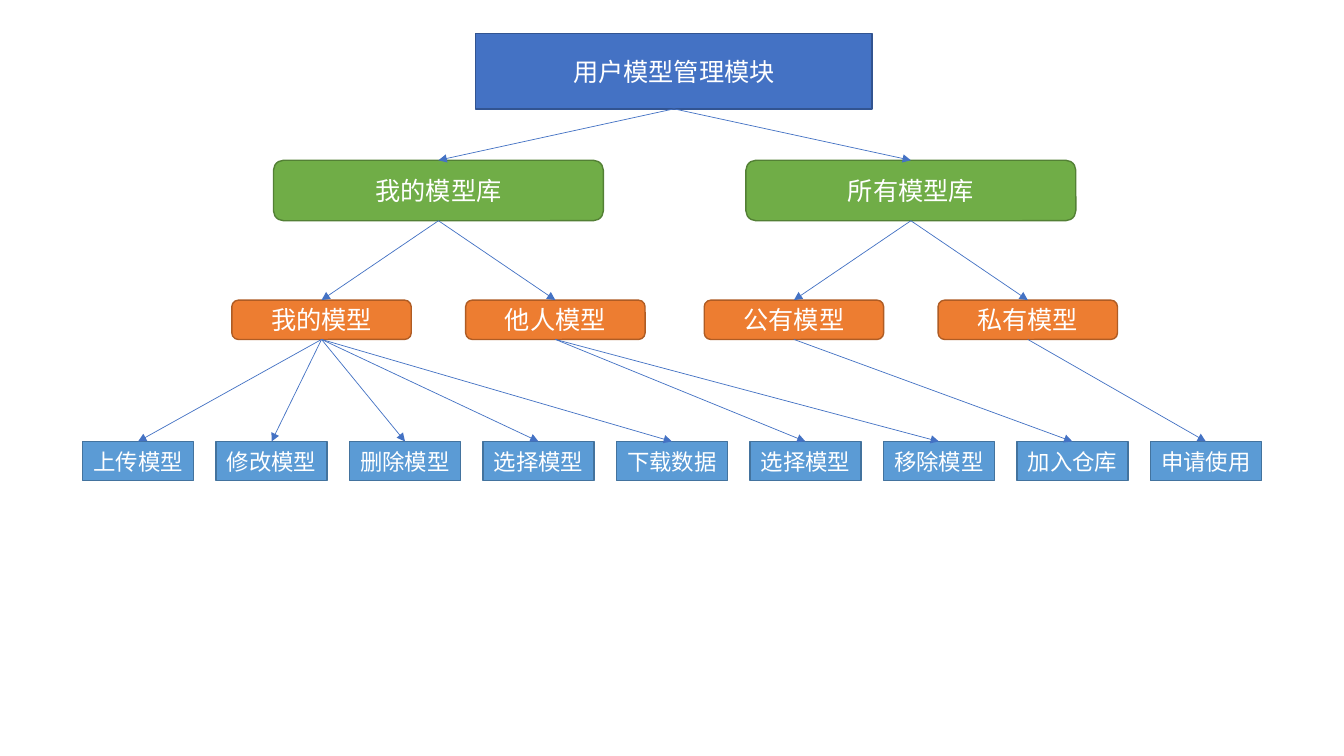
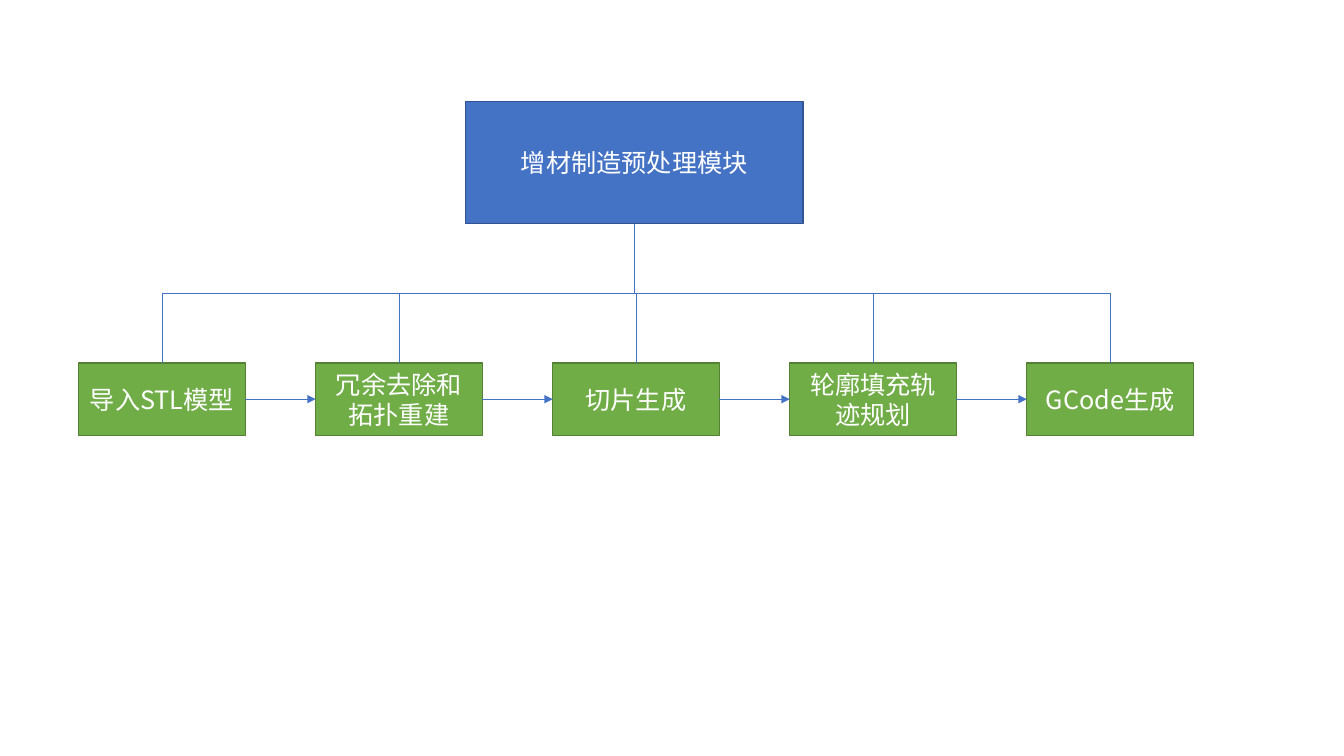
"""Builds two module structure diagrams."""
import dataclasses
import itertools

import lxml.etree
import pptx
import pptx.dml.color
import pptx.enum.shapes
import pptx.enum.text
import pptx.oxml.ns
import pptx.util

RGBColor = pptx.dml.color.RGBColor
SHAPE = pptx.enum.shapes.MSO_SHAPE
CONNECTOR = pptx.enum.shapes.MSO_CONNECTOR
qn = pptx.oxml.ns.qn

SLIDE_WIDTH = pptx.util.Inches(13.33)
SLIDE_HEIGHT = pptx.util.Inches(7.5)
COLUMN = SLIDE_WIDTH / 100
ROW = SLIDE_HEIGHT / 100

FONT = "Noto Sans CJK SC"
WHITE = RGBColor(0xFF, 0xFF, 0xFF)
BLUE = RGBColor(0x44, 0x72, 0xC4)
DARK_BLUE = RGBColor(0x32, 0x54, 0x91)
GREEN = RGBColor(0x70, 0xAD, 0x47)
DARK_GREEN = RGBColor(0x53, 0x80, 0x35)
ORANGE = RGBColor(0xED, 0x7D, 0x31)
DARK_ORANGE = RGBColor(0xAF, 0x5C, 0x24)
SKY = RGBColor(0x5B, 0x9B, 0xD5)
DARK_SKY = RGBColor(0x43, 0x73, 0x9E)

TOP, LEFT, BOTTOM, RIGHT = range(4)


@dataclasses.dataclass(frozen=True)
class Box:
    """A region measured in grid columns and rows."""
    left: float
    top: float
    width: float
    height: float

    def inner(self, left, top, width, height):
        """Return a region offset from this one."""
        return Box(self.left + left, self.top + top, width, height)

    def spread(self, count, item_width):
        """Return equal boxes spread evenly across this region."""
        step = (self.width - item_width) / (count - 1)
        return [self.inner(i * step, 0, item_width, self.height) for i in range(count)]


@dataclasses.dataclass(frozen=True)
class NodeStyle:
    """The look of one level of nodes."""
    outline: int
    fill: RGBColor
    border: RGBColor
    size: int = 18


ROOT = NodeStyle(SHAPE.RECTANGLE, BLUE, DARK_BLUE)
LIBRARY = NodeStyle(SHAPE.ROUNDED_RECTANGLE, GREEN, DARK_GREEN)
CATEGORY = NodeStyle(SHAPE.ROUNDED_RECTANGLE, ORANGE, DARK_ORANGE)
ACTION = NodeStyle(SHAPE.RECTANGLE, SKY, DARK_SKY, 16)
STEP = NodeStyle(SHAPE.RECTANGLE, GREEN, DARK_GREEN)

MODEL_LIBRARIES = {
    "我的模型库": {
        "我的模型": ["上传模型", "修改模型", "删除模型", "选择模型", "下载数据"],
        "他人模型": ["选择模型", "移除模型"],
    },
    "所有模型库": {
        "公有模型": ["加入仓库"],
        "私有模型": ["申请使用"],
    },
}
PROCESS_STEPS = ["导入STL模型", "冗余去除和拓扑重建", "切片生成", "轮廓填充轨迹规划", "GCode生成"]


def add_node(slide, box, label, style):
    """Draw a labelled node in its box."""
    node = slide.shapes.add_shape(
        style.outline, round(box.left * COLUMN), round(box.top * ROW),
        round(box.width * COLUMN), round(box.height * ROW))
    node.shadow.inherit = False
    node.fill.solid()
    node.fill.fore_color.rgb = style.fill
    node.line.color.rgb = style.border
    node.line.width = pptx.util.Pt(1)
    frame = node.text_frame
    frame.word_wrap = True
    frame.vertical_anchor = pptx.enum.text.MSO_ANCHOR.MIDDLE
    paragraph = frame.paragraphs[0]
    paragraph.alignment = pptx.enum.text.PP_ALIGN.CENTER
    run = paragraph.add_run()
    run.text = label
    run.font.size = pptx.util.Pt(style.size)
    run.font.color.rgb = WHITE
    run.font.name = FONT
    lxml.etree.SubElement(run.font._element, qn("a:ea"), typeface=FONT)
    return node


def site(node, side):
    """Return the middle point of one side of a node."""
    return {
        TOP: (node.left + node.width // 2, node.top),
        LEFT: (node.left, node.top + node.height // 2),
        BOTTOM: (node.left + node.width // 2, node.top + node.height),
        RIGHT: (node.left + node.width, node.top + node.height // 2),
    }[side]


def add_line(slide, kind, start, end):
    """Draw a thin blue connector without a shadow."""
    line = slide.shapes.add_connector(kind, *start, *end)
    line.line.color.rgb = BLUE
    line.line.width = pptx.util.Pt(0.5)
    lxml.etree.SubElement(line._element.spPr, qn("a:effectLst"))
    return line


def add_arrow(slide, source, target, source_side=BOTTOM, target_side=TOP):
    """Join two nodes with a straight arrow."""
    arrow = add_line(slide, CONNECTOR.STRAIGHT,
                     site(source, source_side), site(target, target_side))
    arrow.begin_connect(source, source_side)
    arrow.end_connect(target, target_side)
    outline = arrow._element.spPr.find(qn("a:ln"))
    lxml.etree.SubElement(outline, qn("a:tailEnd"), type="triangle")


def add_elbow(slide, source, target):
    """Join two nodes with an elbow that leaves downwards."""
    start_x, start_y = site(source, BOTTOM)
    end_x, end_y = site(target, TOP)
    middle_x, middle_y = (start_x + end_x) // 2, (start_y + end_y) // 2
    leftward = end_x < start_x
    half_drop = (end_y - start_y) // 2
    half_span = abs(end_x - start_x) // 2
    reach = half_drop if leftward else -half_drop
    elbow = add_line(slide, CONNECTOR.ELBOW,
                     (middle_x - reach, middle_y - half_span),
                     (middle_x + reach, middle_y + half_span))
    quarter_turns = 1 if leftward else 3
    elbow._element.spPr.find(qn("a:xfrm")).set("rot", str(quarter_turns * 90 * 60000))


def add_module_tree(slide, area, title, libraries):
    """Draw a module with its libraries, categories and actions."""
    root = add_node(slide, area.inner(29.25, 0, 29.5, 10), title, ROOT)
    library_boxes = area.inner(14.2, 16.8, 59.7, 8).spread(len(libraries), 24.55)
    action_total = sum(len(actions) for categories in libraries.values()
                       for actions in categories.values())
    action_boxes = iter(area.inner(0, 54, area.width, 5.2).spread(action_total, 8.25))
    for library_box, (library, categories) in zip(library_boxes, libraries.items()):
        library_node = add_node(slide, library_box, library, LIBRARY)
        add_arrow(slide, root, library_node)
        pair_width = 30.75
        pair = library_box.inner((library_box.width - pair_width) / 2, 18.5, pair_width, 5.2)
        category_boxes = pair.spread(len(categories), 13.35)
        for category_box, (category, actions) in zip(category_boxes, categories.items()):
            category_node = add_node(slide, category_box, category, CATEGORY)
            add_arrow(slide, library_node, category_node)
            for action in actions:
                action_node = add_node(slide, next(action_boxes), action, ACTION)
                add_arrow(slide, category_node, action_node)


def add_module_process(slide, area, title, steps):
    """Draw a module above its chain of steps."""
    root = add_node(slide, area.inner(28.8, 0, 25.1, 16.15), title, ROOT)
    step_boxes = area.inner(0, 34.55, area.width, 9.6).spread(len(steps), 12.4)
    step_nodes = [add_node(slide, box, step, STEP) for box, step in zip(step_boxes, steps)]
    for step_node in step_nodes:
        add_elbow(slide, root, step_node)
    for current, following in itertools.pairwise(step_nodes):
        add_arrow(slide, current, following, RIGHT, LEFT)


def main():
    """Build and save the presentation."""
    deck = pptx.Presentation()
    deck.slide_width, deck.slide_height = SLIDE_WIDTH, SLIDE_HEIGHT
    blank = deck.slide_layouts[6]
    add_module_tree(deck.slides.add_slide(blank), Box(6.15, 4.4, 87.7, 59.2),
                    "用户模型管理模块", MODEL_LIBRARIES)
    add_module_process(deck.slides.add_slide(blank), Box(5.85, 13.45, 82.95, 44.15),
                       "增材制造预处理模块", PROCESS_STEPS)
    deck.save("out.pptx")


if __name__ == "__main__":
    main()
